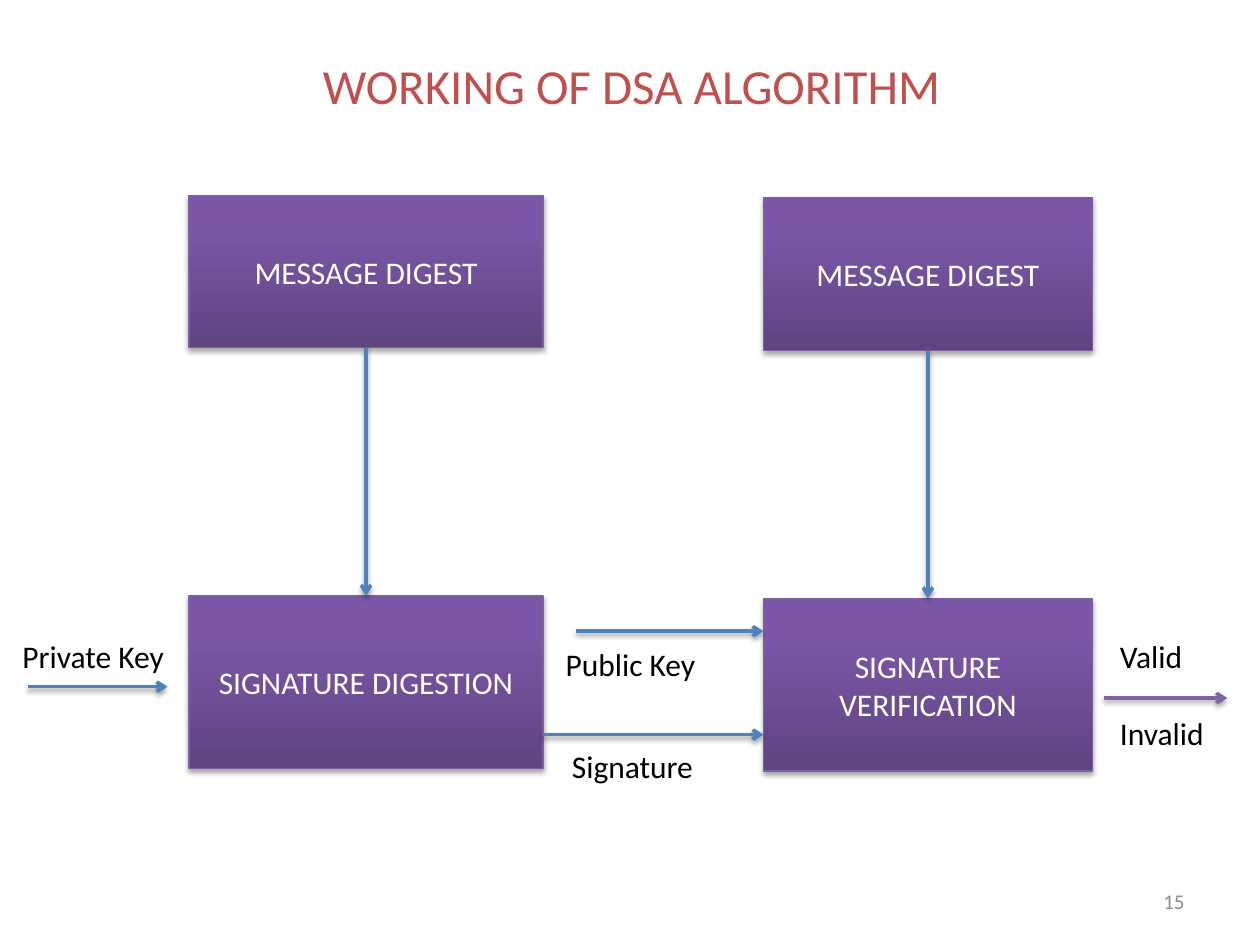
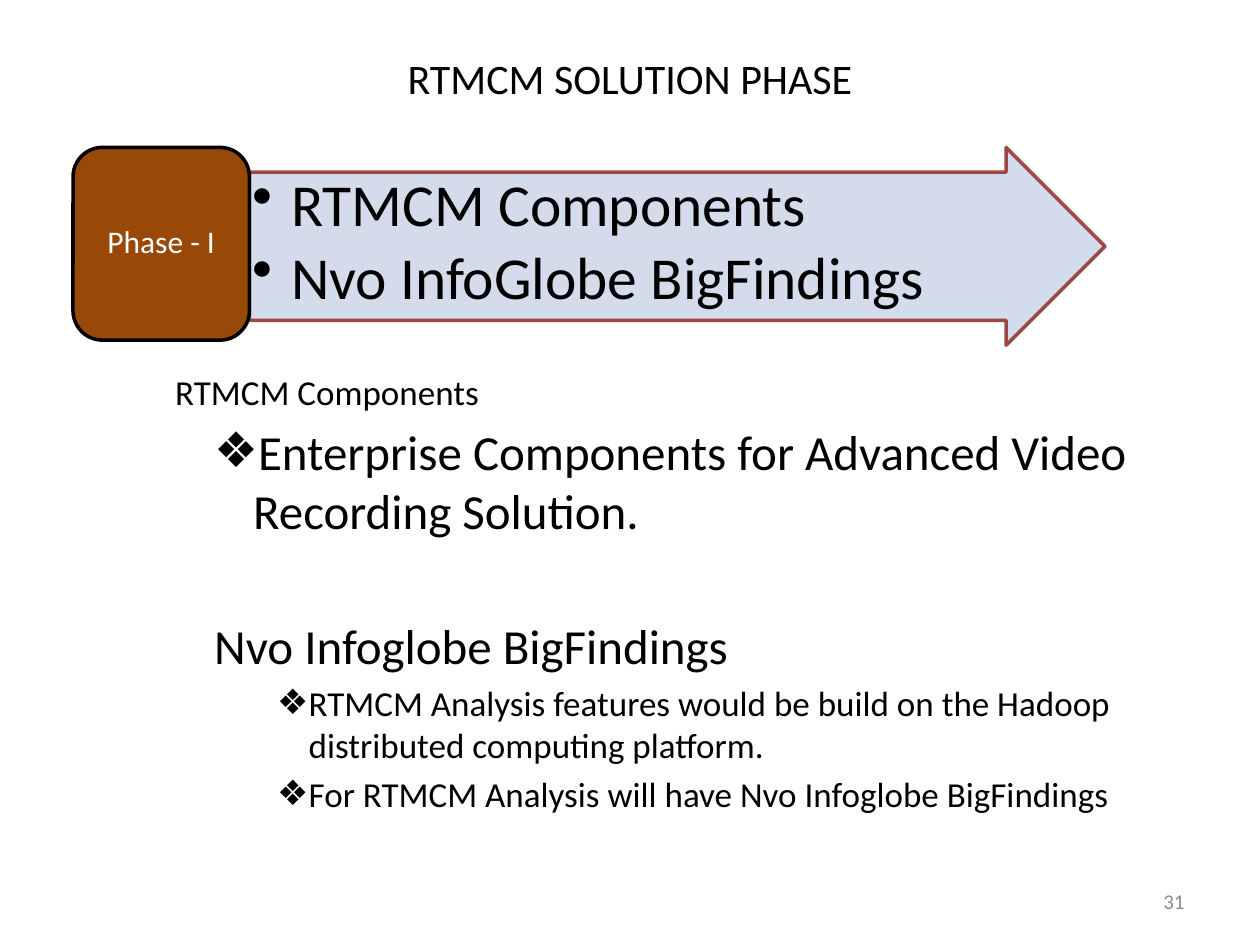
from lxml import etree
from pptx import Presentation
from pptx import util as u
from pptx.dml import color as col
from pptx.enum import shapes, text
from pptx.oxml import ns

FONT = "Calibri"
BLACK, WHITE, GRAY = "000000", "FFFFFF", "8C8C8C"
RED, BLUE, VIOLET = "C0504D", "4F81BD", "8064A2"
EDGE, DARK, LIGHT = "7D60A0", "5F4480", "7C57A8"
BROWN, PALE, MAROON = "984807", "D0D8E8", "953735"
LEFT, MID, RIGHT = text.PP_ALIGN.LEFT, text.PP_ALIGN.CENTER, text.PP_ALIGN.RIGHT
TOP, CENTER = text.MSO_ANCHOR.TOP, text.MSO_ANCHOR.MIDDLE


def rgb(code):
    return col.RGBColor.from_string(code)


def span(*sides):
    return [u.Inches(side) for side in sides]


def sub(node, tag, **attrs):
    return etree.SubElement(node, ns.qn(tag), attrs)


def write(frame, words, size=18, color=BLACK, align=LEFT, level=0, indent=0,
          hang=0, bullet=None, before=0, after=0, lines=None):
    """Add one paragraph, using the frame's first one while it is empty."""
    para = frame.paragraphs[0]
    if para.runs:
        para = frame.add_paragraph()
    para.alignment, para.level = align, level
    para.space_before, para.space_after = u.Pt(before), u.Pt(after)
    para.line_spacing = lines
    props = para._p.get_or_add_pPr()
    props.set("marL", str(u.Inches(indent)))
    props.set("indent", str(u.Inches(-hang)))
    if bullet:
        sub(props, "a:buChar", char=bullet)
    else:
        sub(props, "a:buNone")
    run = para.add_run()
    run.text = words
    run.font.name, run.font.size = FONT, u.Pt(size)
    run.font.color.rgb = rgb(color)


def setup(frame, anchor=TOP, inset=None):
    frame.word_wrap = True
    frame.auto_size = text.MSO_AUTO_SIZE.NONE
    frame.vertical_anchor = anchor
    if inset is not None:
        frame.margin_left = frame.margin_right = u.Inches(inset)
        frame.margin_top = frame.margin_bottom = u.Inches(inset)
    return frame


def label(slide, place, *words, anchor=TOP, inset=None, **fmt):
    box = slide.shapes.add_textbox(*span(*place))
    frame = setup(box.text_frame, anchor, inset)
    for item in words:
        write(frame, item, **fmt)
    return frame


def holder(slide, index, place, anchor=TOP):
    """Move a template placeholder and return its text frame."""
    item = slide.placeholders[index]
    item.left, item.top, item.width, item.height = span(*place)
    return setup(item.text_frame, anchor)


def start(deck, layout, title, place, number, **fmt):
    """Add a slide with its title and page number."""
    slide = deck.slides.add_slide(deck.slide_layouts[layout])
    write(holder(slide, 0, place, CENTER), title, align=MID, **fmt)
    label(slide, (7.17, 6.95, 2.33, 0.4), number, anchor=CENTER,
          size=12, color=GRAY, align=RIGHT)
    return slide


def shade(item, alpha):
    """Give a shape or connector a soft shadow below it."""
    props = item.element.spPr
    effect = props.find(ns.qn("a:effectLst"))
    if effect is None:
        effect = sub(props, "a:effectLst")
    cast = sub(effect, "a:outerShdw", blurRad=str(u.Pt(3.1)),
               dist=str(u.Pt(1.7)), dir="5400000", rotWithShape="0")
    tone = sub(cast, "a:srgbClr", val=BLACK)
    sub(tone, "a:alpha", val=str(alpha * 1000))


def form(slide, kind, place, edge, width):
    item = slide.shapes.add_shape(kind, *span(*place))
    item.shadow.inherit = False
    item.line.color.rgb = rgb(edge)
    item.line.width = u.Pt(width)
    return item


def paint(item, color):
    item.fill.solid()
    item.fill.fore_color.rgb = rgb(color)


def block(slide, place, words):
    """Add a violet gradient box of the diagram."""
    item = form(slide, shapes.MSO_SHAPE.RECTANGLE, place, EDGE, 0.75)
    item.fill.gradient()
    item.fill.gradient_angle = 90
    for stop, point, code in zip(item.fill.gradient_stops, (0, 0.8), (DARK, LIGHT)):
        stop.position = point
        stop.color.rgb = rgb(code)
    shade(item, 35)
    write(setup(item.text_frame, CENTER), words, color=WHITE, align=MID)
    return item


def arrow(slide, x1, y1, x2, y2, color=BLUE):
    link = slide.shapes.add_connector(shapes.MSO_CONNECTOR.STRAIGHT,
                                      *span(x1, y1, x2, y2))
    link.line.color.rgb = rgb(color)
    link.line.width = u.Pt(2)
    sub(link.element.spPr.find(ns.qn("a:ln")), "a:tailEnd", type="arrow")
    shade(link, 38)
    return link


def draw_flow(deck):
    slide = start(deck, 5, "WORKING OF DSA ALGORITHM", (0.51, 0.2, 9, 0.95),
                  "15", size=28, color=RED)
    columns = ((1.5, 1.55, 2.81, "SIGNATURE DIGESTION"),
               (6.06, 1.57, 2.61, "SIGNATURE VERIFICATION"))
    for left, top, width, words in columns:
        upper = block(slide, (left, top, width, 1.21), "MESSAGE DIGEST")
        lower = block(slide, (left, top + 3.18, width, 1.37), words)
        link = arrow(slide, left, top, left, top + 3)
        link.begin_connect(upper, 2)
        link.end_connect(lower, 0)
    arrow(slide, 4.31, 5.83, 6.06, 5.83)
    arrow(slide, 4.57, 5.01, 6.06, 5.01)
    arrow(slide, 0.22, 5.45, 1.33, 5.45)
    arrow(slide, 8.76, 5.54, 9.74, 5.54, VIOLET)
    label(slide, (4.39, 5.07, 1.42, 0.4), "Public Key")
    label(slide, (4.44, 5.88, 1.75, 0.4), "Signature")
    label(slide, (0.08, 5.01, 1.96, 0.4), "Private Key")
    result = label(slide, (8.79, 5.01, 1.42, 1.01), "Valid")
    write(result, "Invalid", before=22)


def draw_phase(deck):
    slide = start(deck, 1, "RTMCM SOLUTION PHASE", (0.5, 0.3, 9, 0.64),
                  "31", size=24)
    body = holder(slide, 1, (1.1, 2.89, 8.4, 3.81))
    write(body, "RTMCM Components", size=20, indent=0.19)
    write(body, "Enterprise Components for Advanced Video Recording Solution.",
          size=28, level=1, indent=0.81, hang=0.31, bullet="❖", before=5)
    write(body, "Nvo Infoglobe BigFindings", size=28, level=1, indent=0.5, before=44)
    for words in ("RTMCM Analysis features would be build on the Hadoop "
                  "distributed computing platform.",
                  "For RTMCM Analysis will have Nvo Infoglobe BigFindings"):
        write(body, words, size=20, level=2, indent=1.25, hang=0.25,
              bullet="❖", before=4)

    band = form(slide, shapes.MSO_SHAPE.RIGHT_ARROW, (1.98, 1.17, 6.79, 1.57), MAROON, 2)
    band.adjustments[0], band.adjustments[1] = 0.75, 0.5
    paint(band, PALE)
    for tone in band.element.spPr.iter(ns.qn("a:srgbClr")):
        sub(tone, "a:alpha", val="90000")
    label(slide, (1.98, 1.37, 6.21, 1.18), "RTMCM Components",
          "Nvo InfoGlobe BigFindings", inset=0.02, size=34, level=1,
          indent=0.31, hang=0.31, bullet="•", after=5, lines=0.9)
    badge = form(slide, shapes.MSO_SHAPE.ROUNDED_RECTANGLE, (0.58, 1.17, 1.4, 1.53), BLACK, 2)
    paint(badge, BROWN)
    write(setup(badge.text_frame, CENTER), "Phase - I", color=WHITE,
          align=MID, lines=0.9)


def main():
    deck = Presentation()
    deck.slide_width, deck.slide_height = span(10, 7.5)
    draw_flow(deck)
    draw_phase(deck)
    deck.save("out.pptx")


if __name__ == "__main__":
    main()
